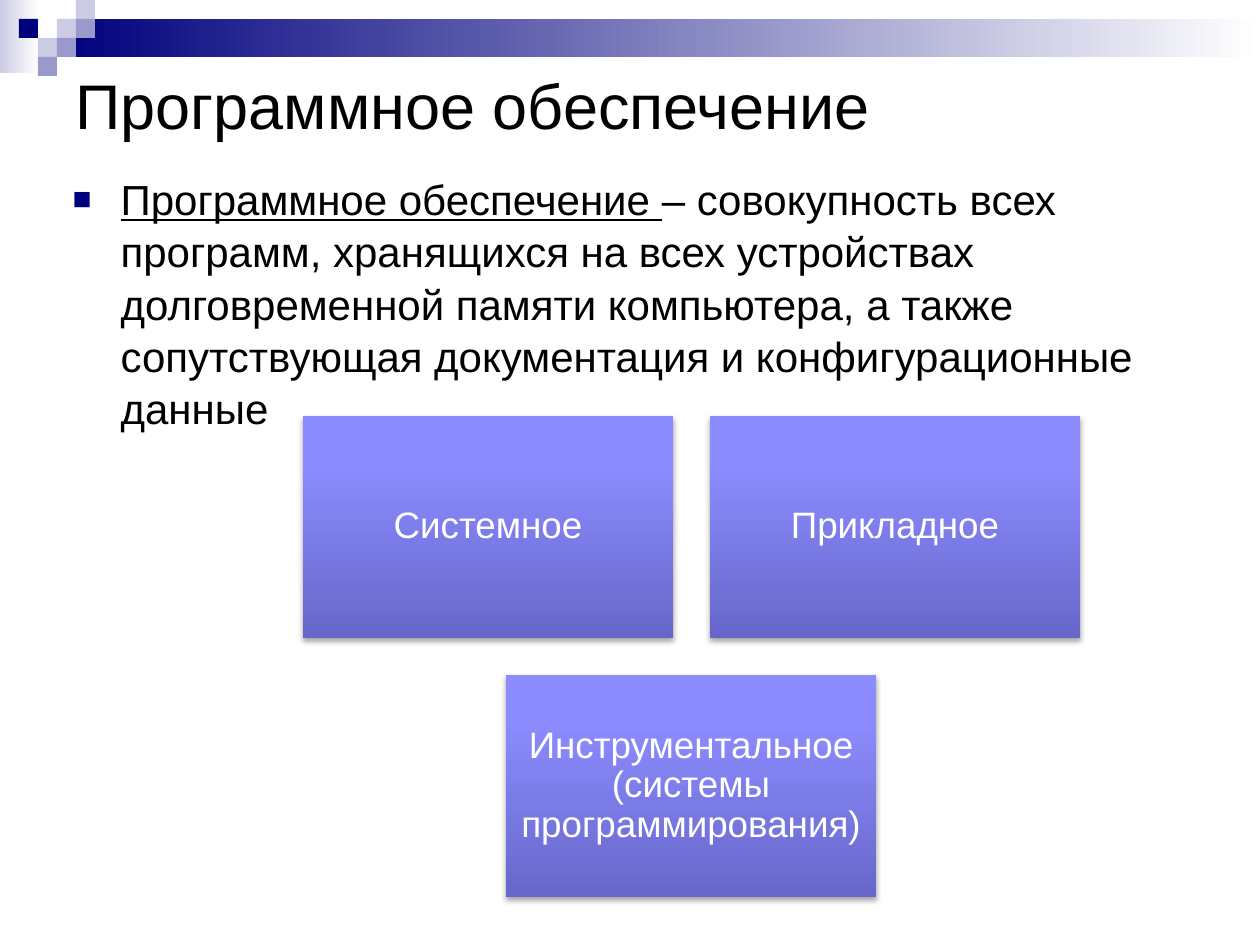
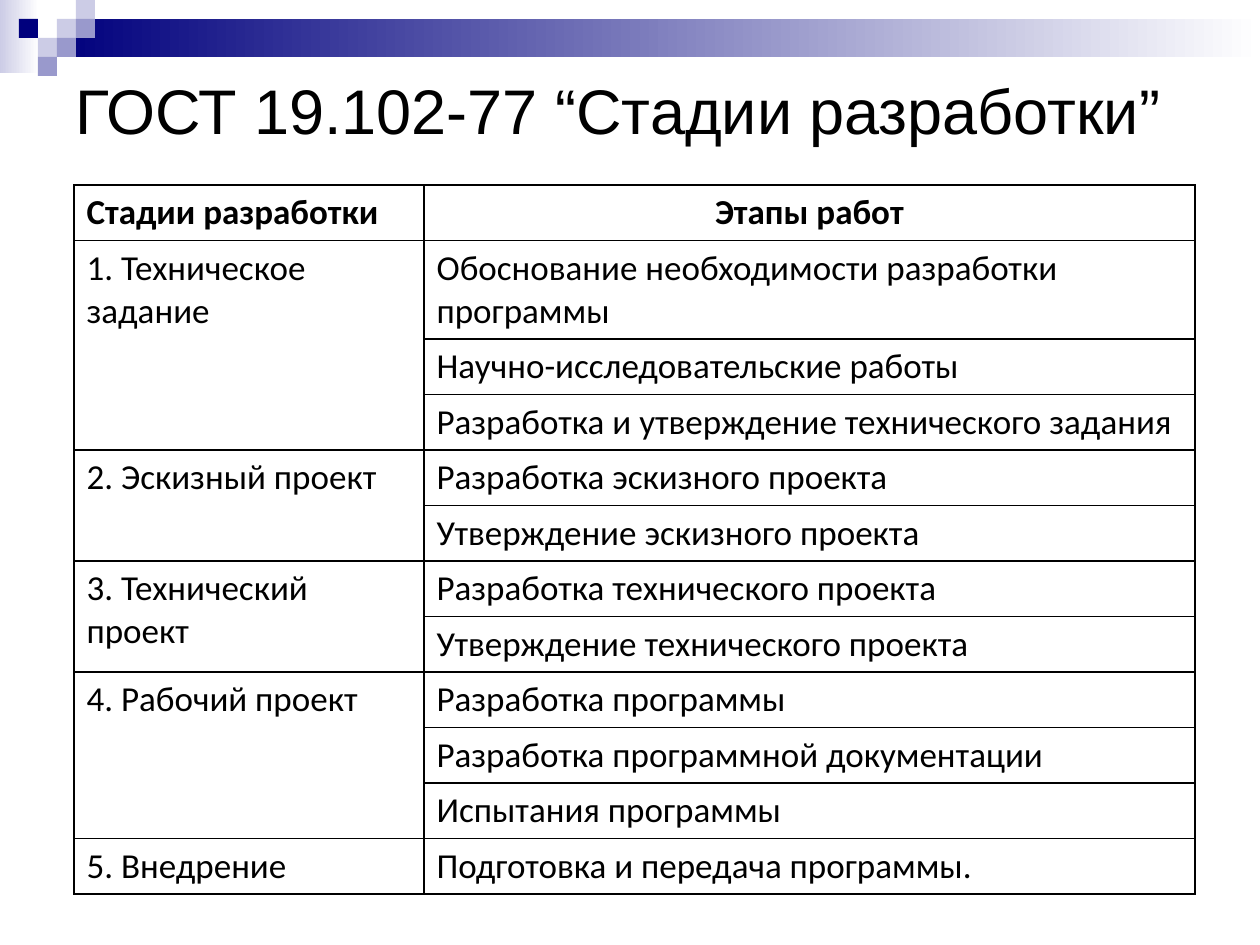
from dataclasses import dataclass

from pptx import Presentation
from pptx.dml.color import RGBColor
from pptx.enum.shapes import MSO_SHAPE
from pptx.enum.text import MSO_ANCHOR, MSO_AUTO_SIZE, PP_ALIGN
from pptx.oxml import parse_xml
from pptx.oxml.ns import nsdecls
from pptx.util import Pt

RECT = MSO_SHAPE.RECTANGLE
MIDDLE = MSO_ANCHOR.MIDDLE
NO_FIT = MSO_AUTO_SIZE.NONE
LEFT, CENTER = PP_ALIGN.LEFT, PP_ALIGN.CENTER


@dataclass(frozen=True)
class Theme:
    ink: str = "000000"
    white: str = "FFFFFF"
    navy: str = "00007D"
    mid: str = "9999CC"
    pale: str = "CCCCE6"
    tile: tuple = ((0, "6767CA"), (80, "8C8CFF"), (100, "8E8EFF"))
    sans: str = "Arial"
    grid: str = "Calibri"
    title: int = 36
    body: int = 24
    label: int = 21
    cell: int = 20


T = Theme()
WIDE, HIGH = 1260, 945
UNIT = 19  # side of one square in the corner pattern


def px(n):
    return round(n * 914400 / 126)


def place(shape, box):
    shape.left, shape.top, shape.width, shape.height = map(px, box)


def xml(tag, rest):
    return parse_xml(f"<a:{tag} {nsdecls('a')} {rest}")


def write(para, text, size, color=T.ink, font=T.sans, **marks):
    run = para.add_run()
    run.text = text
    run.font.size, run.font.name = Pt(size), font
    run.font.color.rgb = RGBColor.from_string(color)
    for name, value in marks.items():
        setattr(run.font, name, value)


def rect(shapes, box, color=None, stops=None, angle=0):
    shape = shapes.add_shape(RECT, *map(px, box))
    shape.shadow.inherit = False
    shape.line.fill.background()
    if color:
        shape.fill.solid()
        shape.fill.fore_color.rgb = RGBColor.from_string(color)
    else:
        marks = "".join(
            f'<a:gs pos="{pos * 1000}"><a:srgbClr val="{tint}"/></a:gs>'
            for pos, tint in stops)
        shape.element.spPr.insert(2, xml(
            "gradFill", f'rotWithShape="1"><a:gsLst>{marks}</a:gsLst>'
            f'<a:lin ang="{angle * 60000}" scaled="0"/></a:gradFill>'))
    return shape


# Corner pattern and top bar, held by the master
def add_band(master, slide):
    shapes = slide.shapes
    parts = [
        rect(shapes, (0, 0, 39, 73), stops=((0, T.pale), (100, T.white))),
        rect(shapes, (3 * UNIT, UNIT, WIDE - 3 * UNIT, 2 * UNIT),
             stops=((0, T.navy), (100, T.white))),
    ]
    squares = [(3, 1, T.pale), (4, 0, T.pale), (4, 1, T.mid), (2, 2, T.pale),
               (1, 1, T.navy), (3, 2, T.mid), (2, 3, T.mid)]
    for col, row, color in squares:
        parts.append(rect(shapes, (col * UNIT, row * UNIT, UNIT, UNIT), color))
    for i, part in enumerate(parts):
        part.element.nvSpPr.cNvPr.set("id", str(100 + i))
        master.shapes.element.insert(2 + i, part.element)


def add_title(slide, box, text):
    title = slide.shapes.title
    place(title, box)
    frame = title.text_frame
    frame.word_wrap, frame.auto_size = True, NO_FIT
    frame.vertical_anchor = MIDDLE
    para = frame.paragraphs[0]
    para.alignment = LEFT
    write(para, text, T.title)


# Bulleted definition: the term is underlined
def add_term(slide, box, term, text):
    body = slide.placeholders[1]
    place(body, box)
    frame = body.text_frame
    frame.word_wrap, frame.auto_size = True, NO_FIT
    para = frame.paragraphs[0]
    props = para._p.get_or_add_pPr()
    props.set("marL", str(px(48)))
    props.set("indent", str(px(-48)))
    for tag, rest in (
            ("buClr", f'><a:srgbClr val="{T.navy}"/></a:buClr>'),
            ("buSzPct", 'val="75000"/>'),
            ("buFont", f'typeface="{T.sans}"/>'),
            ("buChar", 'char="■"/>')):
        props.append(xml(tag, rest))
    para.space_before = Pt(0)
    para.line_spacing = 1.04
    write(para, term, T.body, underline=True)
    write(para, text, T.body)


# Rows of equal tiles, each row centred in the box
def add_tiles(slide, box, rows, gap=37):
    left, top, width, height = box
    wide = (width - gap) // 2
    high = (height - gap) // 2
    for r, row in enumerate(rows):
        span = len(row) * (wide + gap) - gap
        start = left + (width - span) // 2
        for c, label in enumerate(row):
            spot = (start + c * (wide + gap), top + r * (high + gap), wide, high)
            tile = rect(slide.shapes, spot, stops=T.tile, angle=270)
            add_shade(tile)
            frame = tile.text_frame
            frame.word_wrap = True
            frame.vertical_anchor = MIDDLE
            frame.margin_left = frame.margin_right = px(11)
            frame.margin_top = frame.margin_bottom = px(11)
            para = frame.paragraphs[0]
            para.alignment = CENTER
            para.line_spacing = 0.9
            write(para, label, T.label, T.white)


def add_shade(shape):
    effects = shape.element.spPr.find(
        "{http://schemas.openxmlformats.org/drawingml/2006/main}effectLst")
    effects.append(xml(
        "outerShdw", f'blurRad="{Pt(3.1)}" dist="{Pt(1.8)}" dir="5400000" '
        f'rotWithShape="0"><a:srgbClr val="{T.ink}"><a:alpha val="35000"/>'
        '</a:srgbClr></a:outerShdw>'))


def fill_cell(cell, text, align=LEFT, bold=False):
    para = cell.text_frame.paragraphs[0]
    para.alignment = align
    write(para, text, T.cell, font=T.grid, bold=bold)


def frame_cell(cell):
    props = cell._tc.get_or_add_tcPr()
    for side in ("lnL", "lnR", "lnT", "lnB"):
        props.append(xml(
            side, f'w="{Pt(1)}"><a:solidFill><a:srgbClr val="{T.ink}"/>'
            f'</a:solidFill></a:{side}>'))
    cell.fill.background()


# Stages on the left, merged over their steps on the right
def add_stages(slide, box, head, stages, split=350, line=55, tall=98):
    count = 1 + sum(len(steps) for _, steps in stages)
    table = slide.shapes.add_table(count, 2, *map(px, box)).table
    table.first_row = table.horz_banding = False
    table.columns[0].width = px(split)
    table.columns[1].width = px(box[2] - split)
    for i, row in enumerate(table.rows):
        row.height = px(tall if i == 1 else line)
        for cell in row.cells:
            frame_cell(cell)
    fill_cell(table.cell(0, 0), head[0], bold=True)
    fill_cell(table.cell(0, 1), head[1], CENTER, True)
    at = 1
    for stage, steps in stages:
        first, last = table.cell(at, 0), table.cell(at + len(steps) - 1, 0)
        if len(steps) > 1:
            first.merge(last)
        fill_cell(first, stage)
        for step in steps:
            fill_cell(table.cell(at, 1), step)
            at += 1


def make_kinds(deck):
    slide = deck.slides.add_slide(deck.slide_layouts[1])
    add_band(deck.slide_master, slide)
    add_title(slide, (63, 53, 1134, 102), "Программное обеспечение")
    add_term(slide, (60, 165, 1134, 297), "Программное обеспечение ",
             "– совокупность всех программ, хранящихся на всех устройствах "
             "долговременной памяти компьютера, а также сопутствующая "
             "документация и конфигурационные данные")
    add_tiles(slide, (303, 416, 777, 481),
              [["Системное", "Прикладное"],
               ["Инструментальное (системы программирования)"]])


def make_stages(deck):
    slide = deck.slides.add_slide(deck.slide_layouts[5])
    add_title(slide, (63, 63, 1134, 92), "ГОСТ 19.102-77 “Стадии разработки”")
    add_stages(slide, (74, 185, 1121, 707), ("Стадии разработки", "Этапы работ"), [
        ("1. Техническое задание", [
            "Обоснование необходимости разработки программы",
            "Научно-исследовательские работы",
            "Разработка и утверждение технического задания"]),
        ("2. Эскизный проект", [
            "Разработка эскизного проекта",
            "Утверждение эскизного проекта"]),
        ("3. Технический проект", [
            "Разработка технического проекта",
            "Утверждение технического проекта"]),
        ("4. Рабочий проект", [
            "Разработка программы",
            "Разработка программной документации",
            "Испытания программы"]),
        ("5. Внедрение", ["Подготовка и передача программы."]),
    ])


def main():
    deck = Presentation()
    deck.slide_width, deck.slide_height = px(WIDE), px(HIGH)
    make_kinds(deck)
    make_stages(deck)
    deck.save("out.pptx")


if __name__ == "__main__":
    main()
